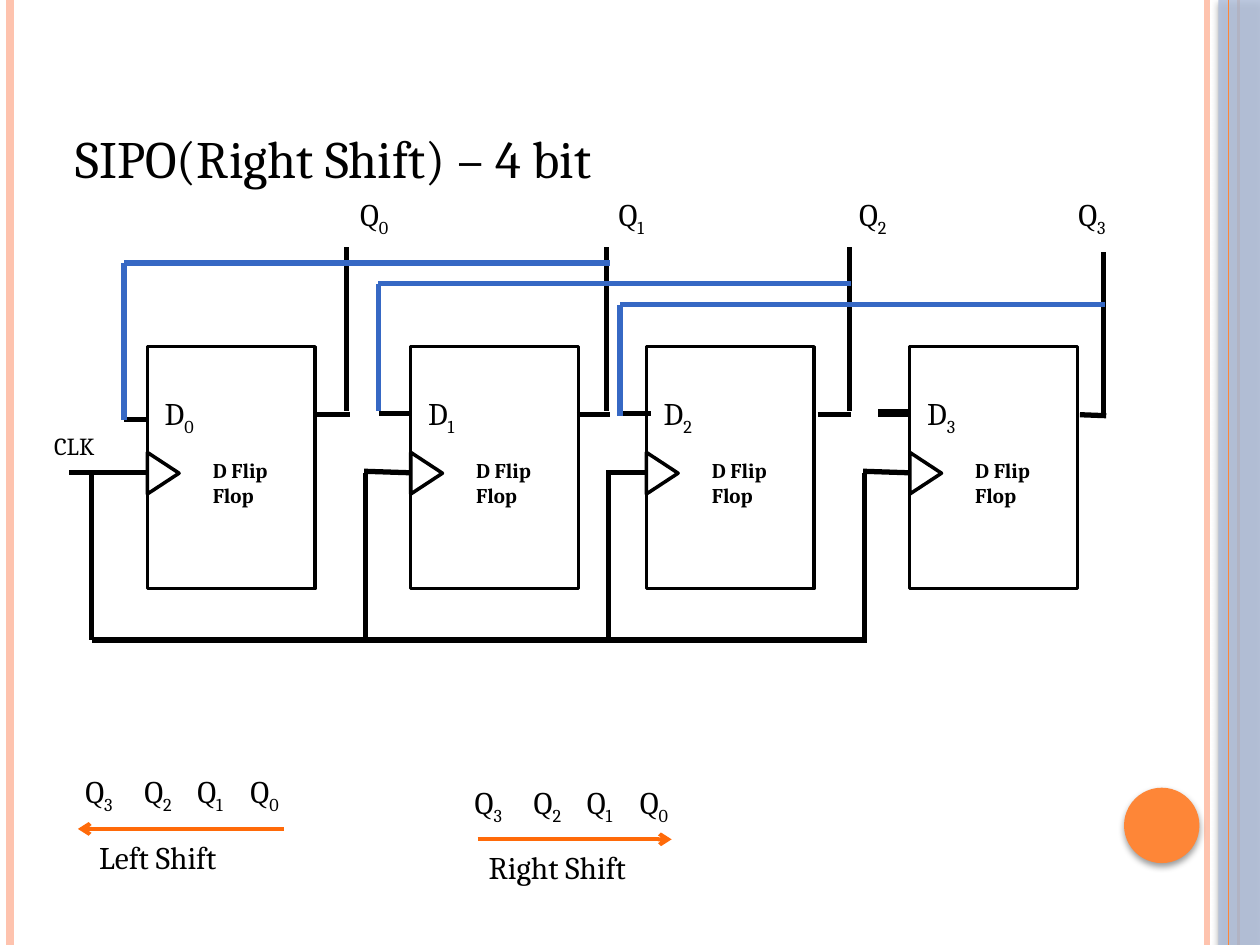
from lxml import etree
from pptx import Presentation
from pptx.dml.color import RGBColor
from pptx.enum.shapes import MSO_CONNECTOR, MSO_SHAPE
from pptx.enum.text import MSO_ANCHOR, MSO_AUTO_SIZE, PP_ALIGN
from pptx.oxml import parse_xml
from pptx.oxml.ns import nsdecls, qn
from pptx.util import Cm, Pt

BLACK, BLUE, ORANGE, PEACH, BAND = "000000", "3668C4", "FE8637", "FEC3AE", "B3C1DB"
color = RGBColor.from_string

prs = Presentation()
prs.slide_width, prs.slide_height = Cm(25.4), Cm(19.05)
slide = prs.slides.add_slide(prs.slide_layouts[5])


def add_wire(x1, y1, x2, y2, stroke=BLACK, width=3):
    wire = slide.shapes.add_connector(MSO_CONNECTOR.STRAIGHT, Cm(x1), Cm(y1), Cm(x2), Cm(y2))
    wire.line.color.rgb = color(stroke)
    wire.line.width = Pt(width)
    etree.SubElement(wire._element.spPr, qn("a:effectLst"))
    return wire


def add_label(x, y, width, height, text, subscript="", **font_format):
    frame = slide.shapes.add_textbox(Cm(x), Cm(y), Cm(width), Cm(height)).text_frame
    frame.word_wrap = True
    frame.auto_size = MSO_AUTO_SIZE.SHAPE_TO_FIT_TEXT
    for part in filter(None, (text, subscript)):
        run = frame.paragraphs[0].add_run()
        run.text = part
        values = {"name": "Cambria", "size": Pt(18)} | font_format
        for key, value in values.items():
            setattr(run.font, key, value)
        run.font.color.rgb = color(BLACK)
        if part == subscript:
            run.font._element.set("baseline", "-25000")


add_wire(24.33, 0, 24.33, 19.05, PEACH, 3)
add_wire(0.2, 0, 0.2, 19.05, PEACH, 4.5)
add_wire(24.97, 0, 24.97, 19.05, ORANGE, 1.5)
for kind, x, y, width, height, fill, opacity in [
    (MSO_SHAPE.RECTANGLE, 24.56, 0, 0.84, 19.05, BAND, 87),
    (MSO_SHAPE.OVAL, 22.66, 15.88, 1.52, 1.52, ORANGE, 100),
]:
    ornament = slide.shapes.add_shape(kind, Cm(x), Cm(y), Cm(width), Cm(height))
    ornament.fill.solid()
    ornament.fill.fore_color.rgb = color(fill)
    ornament.line.fill.background()
    tint = ornament._element.spPr.find(".//" + qn("a:srgbClr"))
    etree.SubElement(tint, qn("a:alpha"), val=str(opacity * 1000))
    ornament._element.spPr.append(parse_xml(
        f'<a:effectLst {nsdecls("a")}><a:outerShdw blurRad="50800" dist="25400" dir="5400000">'
        '<a:srgbClr val="000000"><a:alpha val="40000"/></a:srgbClr></a:outerShdw></a:effectLst>'))
add_wire(24.77, 0, 24.77, 19.05, ORANGE, 0.75)

heading = slide.shapes.title
heading.left, heading.top, heading.width, heading.height = Cm(1.27), Cm(0.76), Cm(20.75), Cm(3.18)
heading.text_frame.text = "SIPO(Right Shift) – 4 bit"
heading.text_frame.vertical_anchor = MSO_ANCHOR.BOTTOM
title_line = heading.text_frame.paragraphs[0]
title_line.alignment = PP_ALIGN.LEFT
for key, value in {"name": "Cambria", "size": Pt(30)}.items():
    setattr(title_line.font, key, value)
title_line.font.color.rgb = color(BLACK)

for bit, (left, output_left) in enumerate([(2.97, 7.01), (8.28, 12.22), (13.03, 17.07), (18.34, 21.49)]):
    flip_flop = slide.shapes.add_shape(MSO_SHAPE.RECTANGLE, Cm(left), Cm(6.99), Cm(3.38), Cm(4.88))
    clock_input = slide.shapes.add_shape(
        MSO_SHAPE.ISOSCELES_TRIANGLE, Cm(left - 0.1), Cm(9.22), Cm(0.84), Cm(0.64))
    clock_input.rotation = 90
    for outline in (flip_flop, clock_input):
        outline.shadow.inherit = False
        outline.fill.background()
        outline.line.color.rgb = color(BLACK)
        outline.line.width = Pt(2)
    add_label(left + 0.1, 7.82, 1.6, 1.12, "D", str(bit))
    add_label(left + 1.07, 9.09, 2.34, 1.27, "D Flip Flop", size=Pt(12), bold=True)
    add_label(output_left, 3.81, 1.57, 1.12, "Q", str(bit))
add_label(0.84, 8.56, 1.93, 0.84, "CLK", size=Pt(14))

for x1, y1, x2, y2 in [
    (1.4, 9.53, 2.97, 9.53), (7.34, 9.5, 8.26, 9.53), (12.22, 9.53, 13.03, 9.53), (17.4, 9.5, 18.31, 9.53),
    (2.49, 8.46, 2.95, 8.46), (7.65, 8.33, 8.28, 8.33), (12.5, 8.33, 13.13, 8.33),
    (6.35, 8.36, 7.06, 8.36), (11.63, 8.36, 12.29, 8.36), (16.48, 8.36, 17.15, 8.36), (21.77, 8.36, 22.3, 8.38),
    (6.99, 4.98, 6.99, 8.28), (12.22, 4.98, 12.22, 8.28), (17.12, 4.98, 17.12, 8.28), (22.25, 5.08, 22.25, 8.38),
    (1.85, 12.9, 7.37, 12.9), (7.19, 12.9, 12.4, 12.9), (12.27, 12.9, 17.48, 12.9),
]:
    add_wire(x1, y1, x2, y2)
add_wire(17.7, 8.33, 18.34, 8.33, width=4.5)
for clock_x in (1.85, 7.37, 12.27, 17.42):
    add_wire(clock_x, 9.53, clock_x, 12.9)

for input_x, feedback_y, output_x, input_y in [
    (12.5, 6.14, 22.28, 8.38), (7.63, 5.72, 17.15, 8.28), (2.5, 5.3, 12.29, 8.46),
]:
    add_wire(input_x, feedback_y, output_x, feedback_y, BLUE)
    add_wire(input_x, feedback_y, input_x, input_y, BLUE)

for caption, bits_x, bits_y, start_x, end_x, arrow_y, caption_x in [
    ("Left Shift", 1.47, 15.44, 5.72, 1.57, 16.71, 1.75),
    ("Right Shift", 9.32, 15.67, 9.63, 13.54, 16.92, 9.6),
]:
    for bit, offset in zip("3210", (0, 1.19, 2.26, 3.33)):
        add_label(bits_x + offset, bits_y, 1.57, 1.12, "Q", bit)
    arrow = add_wire(start_x, arrow_y, end_x, arrow_y, "FF6A09", 2.25)
    etree.SubElement(arrow.line._get_or_add_ln(), qn("a:tailEnd"), type="arrow")
    add_label(caption_x, arrow_y + 0.05, 4.83, 1.02, caption)

prs.save("out.pptx")
